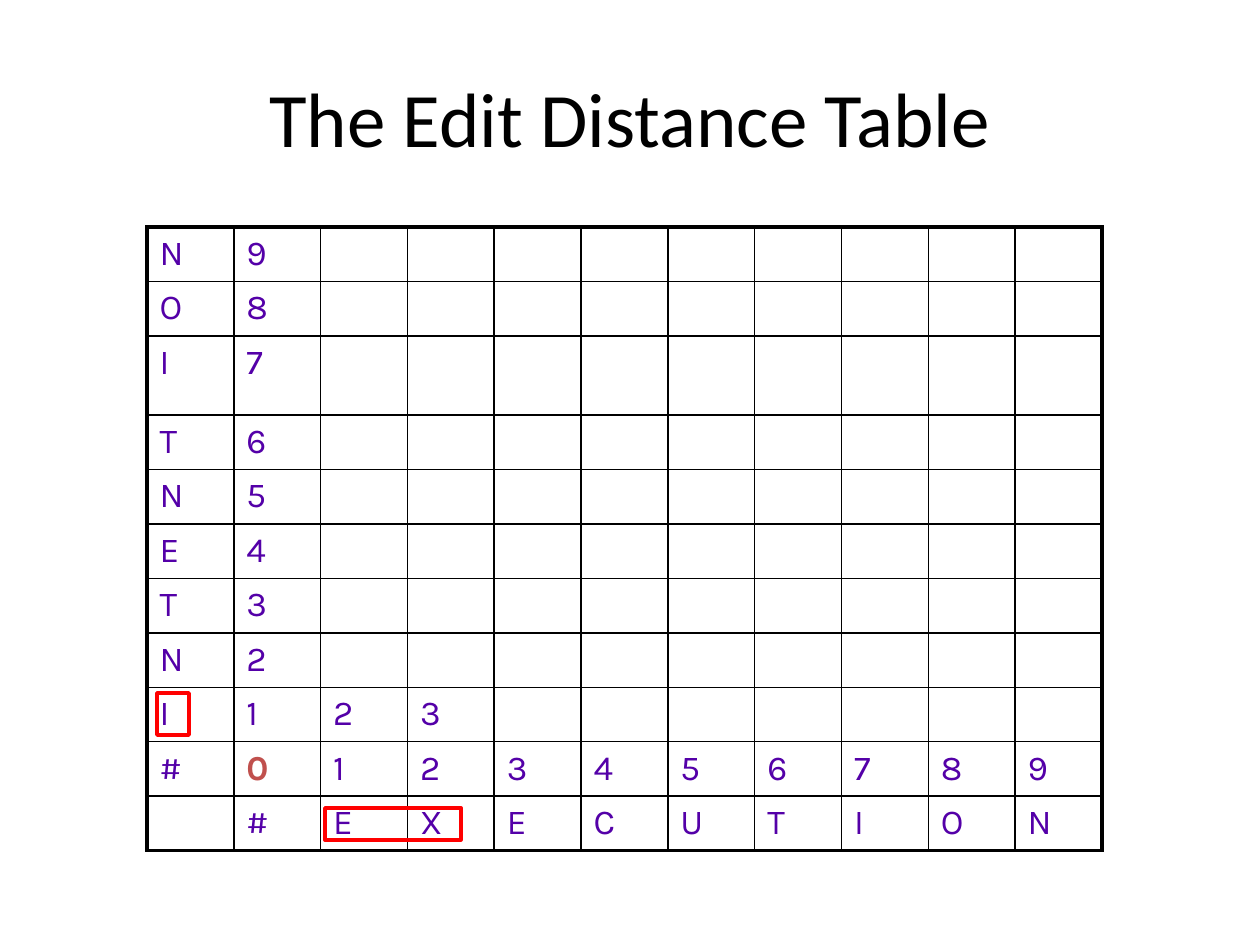
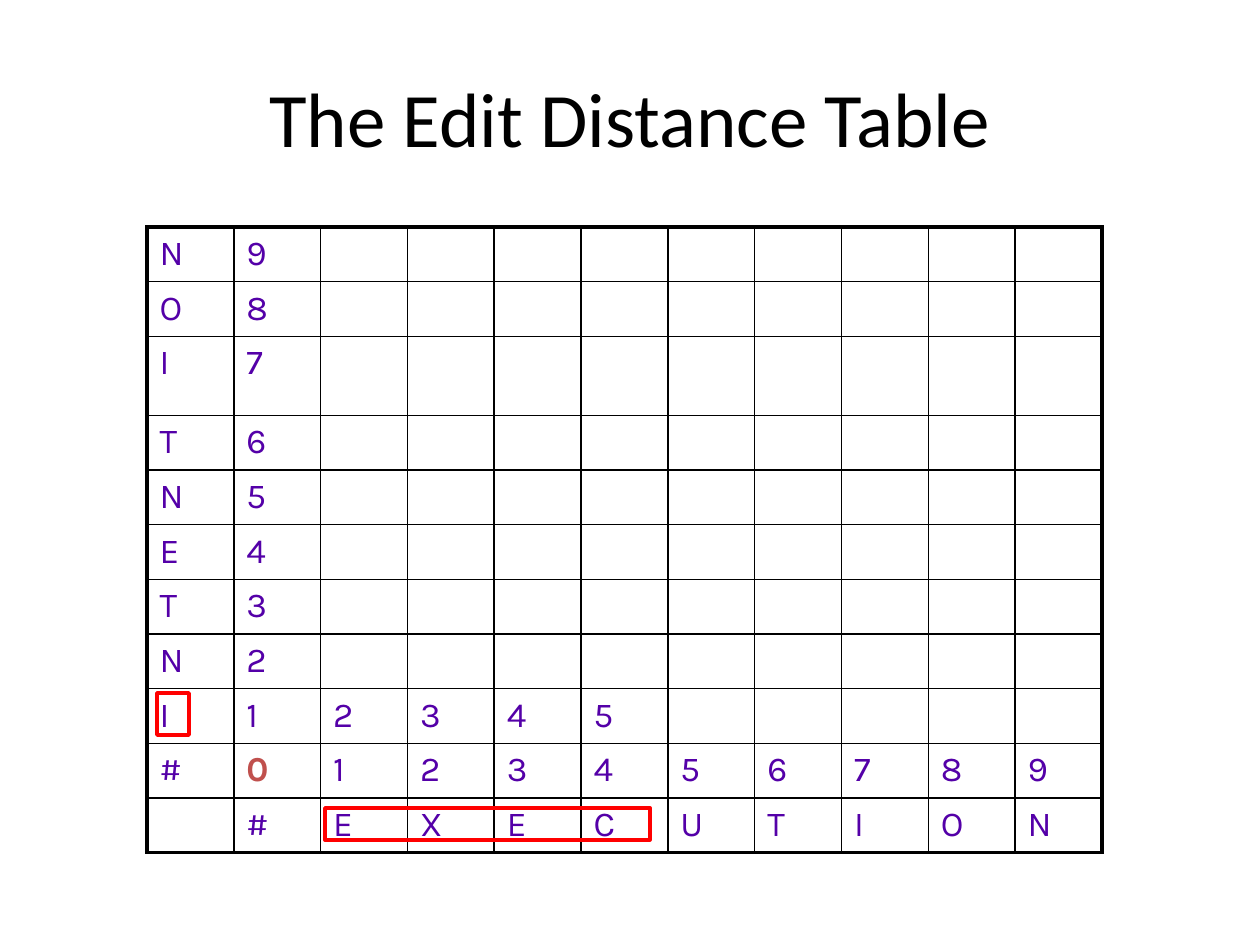
from dataclasses import dataclass

from lxml import etree
from pptx import Presentation, util as u
from pptx.dml.color import RGBColor
from pptx.enum import shapes, text
from pptx.oxml import ns


@dataclass(frozen=True)
class Theme:
    ink: str = "000000"
    letter: str = "5400A8"
    origin: str = "C0504D"
    marker: str = "FF0000"
    title_font: str = "Calibri"
    cell_font: str = "Karla"
    title_size: int = 44
    cell_size: int = 20
    frame_line: float = 2.25
    grid_line: float = 1
    marker_line: float = 2


@dataclass(frozen=True)
class Box:
    """A region in px."""
    left: int
    top: int
    width: int
    height: int

    def inside(self, left, top, width, height):
        return Box(self.left + left, self.top + top, width, height)

    def emu(self):
        return [px(v) for v in (self.left, self.top, self.width, self.height)]


THEME = Theme()
PX_PER_INCH = 126
PAGE = Box(0, 0, 1260, 945)
TITLE = PAGE.inside(63, 38, 1134, 157)
TABLE = PAGE.inside(147, 227, 955, 624)
SOURCE, TARGET = "INTENTION", "EXECUTION"
TALL_ROW, TALL_HEIGHT = 2, 79
# Number of distances filled in on row "I", and width of the prefix marker
STEPS = [(2, 136), (4, 325)]


def px(count):
    return u.Emu(round(count * u.Inches(1) / PX_PER_INCH))


def write(para, words, font, size, color, bold=False):
    span = para.add_run()
    span.text = words
    formats = {"name": font, "size": u.Pt(size), "bold": bold}
    for name, value in formats.items():
        setattr(span.font, name, value)
    span.font.color.rgb = RGBColor.from_string(color)


def add_title(page, box, words):
    frame = page.shapes.add_textbox(*box.emu()).text_frame
    frame.word_wrap = True
    frame.vertical_anchor = text.MSO_ANCHOR.MIDDLE
    para = frame.paragraphs[0]
    para.alignment = text.PP_ALIGN.CENTER
    write(para, words, THEME.title_font, THEME.title_size, THEME.ink)


def distance_rows(known):
    """Rows from the last source letter down to the target letters."""
    size = len(TARGET)
    rows = [[letter, str(step)] + [""] * size
            for step, letter in enumerate(SOURCE, 1)]
    rows[0][2:2 + known] = [str(step + 1) for step in range(1, known + 1)]
    base = ["#"] + [str(step) for step in range(size + 1)]
    return rows[::-1] + [base, ["", "#", *TARGET]]


def add_borders(cell, on_frame):
    """Draw four cell edges, heavier where the edge lies on the frame."""
    properties = cell._tc.get_or_add_tcPr()
    for side in "LRTB":
        weight = THEME.frame_line if side in on_frame else THEME.grid_line
        line = etree.SubElement(properties, ns.qn(f"a:ln{side}"), w=str(u.Pt(weight)))
        fill = etree.SubElement(line, ns.qn("a:solidFill"))
        etree.SubElement(fill, ns.qn("a:srgbClr"), val=THEME.ink)


def add_distance_table(page, box, rows):
    height, width = len(rows), len(rows[0])
    table = page.shapes.add_table(height, width, *box.emu()).table
    table.first_row = table.horz_banding = False
    for column in table.columns:
        column.width = px(box.width / width)
    for index, row in enumerate(table.rows):
        plain = (box.height - TALL_HEIGHT) / (height - 1)
        row.height = px(TALL_HEIGHT if index == TALL_ROW else plain)
    for r, row in enumerate(rows):
        for c, words in enumerate(row):
            cell = table.cell(r, c)
            edges = {"L": c == 0, "R": c == width - 1,
                     "T": r == 0, "B": r == height - 1}
            add_borders(cell, [side for side, outer in edges.items() if outer])
            cell.fill.background()
            if words:
                origin = words == "0"
                write(cell.text_frame.paragraphs[0], words, THEME.cell_font,
                      THEME.cell_size, THEME.origin if origin else THEME.letter, origin)


def add_marker(page, box):
    marker = page.shapes.add_shape(shapes.MSO_SHAPE.RECTANGLE, *box.emu())
    marker.shadow.inherit = False
    marker.fill.background()
    marker.line.color.rgb = RGBColor.from_string(THEME.marker)
    marker.line.width = u.Pt(THEME.marker_line)


def add_step_page(deck, known, prefix_width):
    page = deck.slides.add_slide(deck.slide_layouts[6])
    add_distance_table(page, TABLE, distance_rows(known))
    add_title(page, TITLE, "The Edit Distance Table")
    add_marker(page, TABLE.inside(178, 581, prefix_width, 32))
    add_marker(page, TABLE.inside(10, 466, 32, 42))


def main():
    deck = Presentation()
    deck.slide_width, deck.slide_height = px(PAGE.width), px(PAGE.height)
    for known, prefix_width in STEPS:
        add_step_page(deck, known, prefix_width)
    deck.save("out.pptx")


if __name__ == "__main__":
    main()
